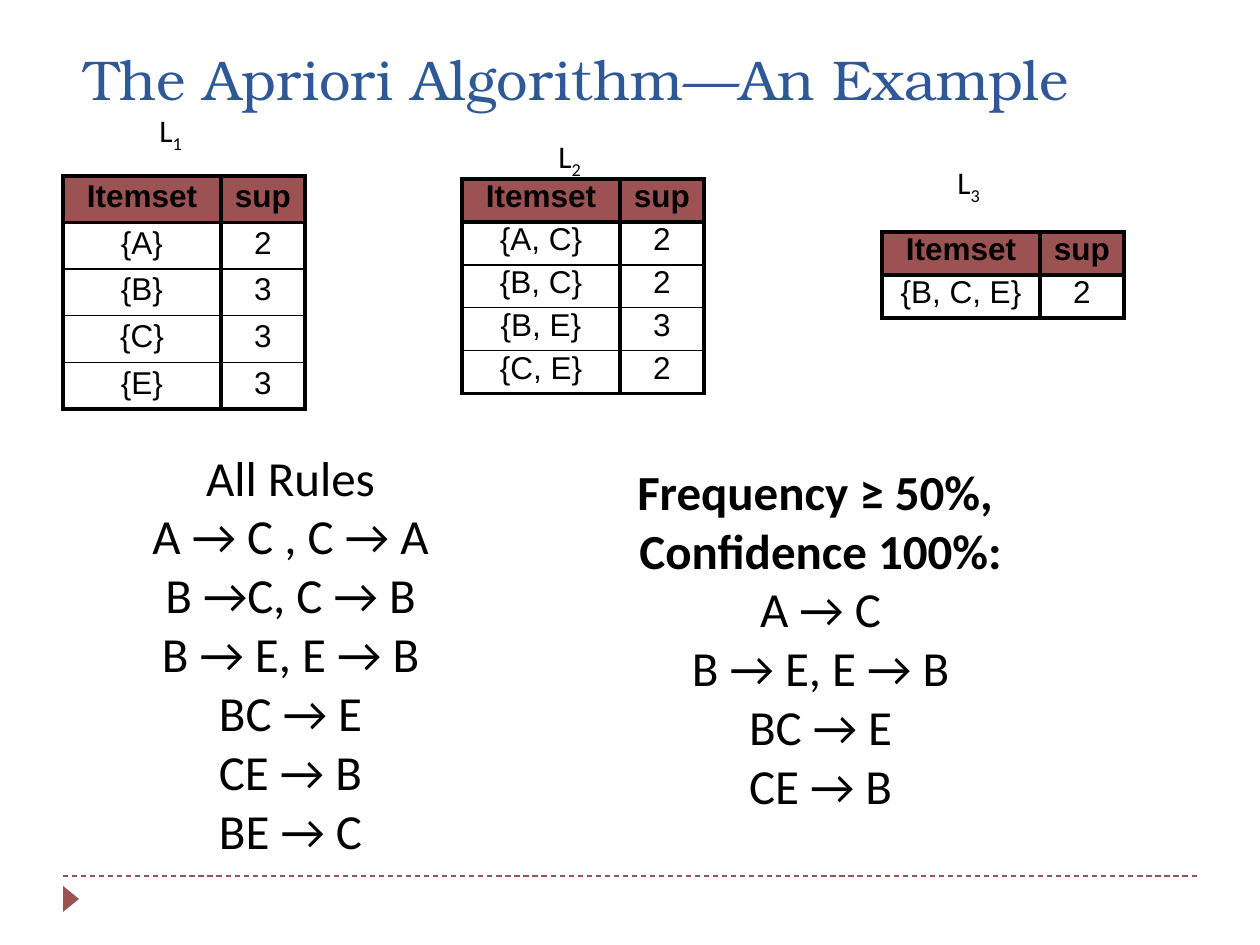
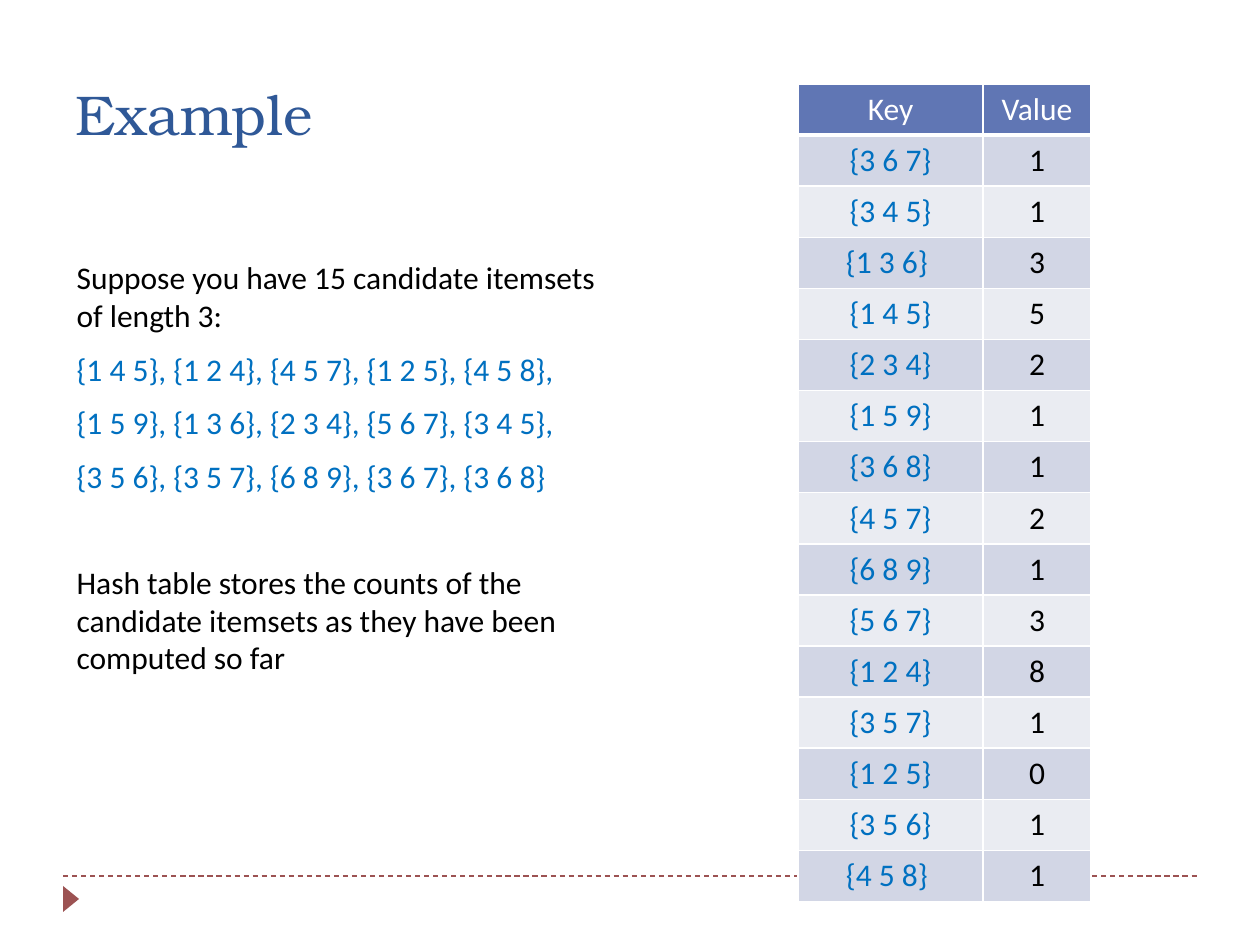
from dataclasses import dataclass

from lxml.etree import SubElement
from pptx import Presentation
from pptx.dml.color import RGBColor
from pptx.enum.dml import MSO_LINE
from pptx.enum.shapes import MSO_CONNECTOR, MSO_SHAPE
from pptx.enum.text import MSO_ANCHOR, MSO_AUTO_SIZE, PP_ALIGN
from pptx.oxml.ns import qn
from pptx.util import Emu, Pt

PX_PER_INCH = 126
TITLE_ONLY, TITLE_AND_BODY = 5, 1


@dataclass(frozen=True)
class Theme:
    title: str = "2F5897"
    accent: str = "9C5252"
    text: str = "000000"
    itemset: str = "0070C0"
    white: str = "FFFFFF"
    header: str = "6076B4"
    odd_row: str = "D2D6E5"
    even_row: str = "EAECF2"
    title_font: str = "TeX Gyre Bonum"
    body_font: str = "Calibri"
    table_font: str = "Arial"
    title_size: int = 32
    rule_size: int = 28
    body_size: int = 18
    thin: float = 1
    thick: float = 2.25
    header_rule: float = 3


T = Theme()

FREQUENT_ITEMSETS = [
    [("{A}", "2"), ("{B}", "3"), ("{C}", "3"), ("{E}", "3")],
    [("{A, C}", "2"), ("{B, C}", "2"), ("{B, E}", "3"), ("{C, E}", "2")],
    [("{B, C, E}", "2")],
]
ALL_RULES = ["All Rules", "A → C , C → A", "B →C, C → B", "B → E, E → B",
             "BC → E", "CE → B", "BE → C"]
CONDITIONS = ["Frequency ≥ 50%, ", "Confidence 100%:"]
STRONG_RULES = ["A → C", "B → E, E → B", "BC → E", "CE → B"]
CANDIDATES = [
    "{1 4 5}, {1 2 4}, {4 5 7}, {1 2 5}, {4 5 8},",
    "{1 5 9}, {1 3 6}, {2 3 4}, {5 6 7}, {3 4 5},",
    "{3 5 6}, {3 5 7}, {6 8 9}, {3 6 7}, {3 6 8}",
]
COUNTS = [
    ("{3 6 7}", "1"), ("{3 4 5}", "1"), ("{1 3 6} ", "3"), ("{1 4 5}", "5"),
    ("{2 3 4}", "2"), ("{1 5 9}", "1"), ("{3 6 8}", "1"), ("{4 5 7}", "2"),
    ("{6 8 9}", "1"), ("{5 6 7}", "3"), ("{1 2 4}", "8"), ("{3 5 7}", "1"),
    ("{1 2 5}", "0"), ("{3 5 6}", "1"), ("{4 5 8} ", "1"),
]


def px(n):
    return Emu(round(n * 914400 / PX_PER_INCH))


def rgb(color):
    return RGBColor.from_string(color)


def place(sp, box):
    sp.left, sp.top, sp.width, sp.height = map(px, box)


def write(p, text, *, size=T.body_size, font=T.body_font, color=T.text, bold=False,
          align=PP_ALIGN.LEFT, spacing=1.0, before=0, subscript=False):
    """Append one formatted run to the paragraph."""
    p.alignment, p.line_spacing, p.space_before = align, spacing, Pt(before)
    r = p.add_run()
    r.text = text
    r.font.size, r.font.name, r.font.bold = Pt(size), font, bold
    r.font.color.rgb = rgb(color)
    if subscript:
        r._r.get_or_add_rPr().set("baseline", "-25000")


def next_paragraph(tf):
    """Return the empty first paragraph, or a new one."""
    first = tf.paragraphs[0]
    return tf.add_paragraph() if first.runs else first


def add_box(s, box):
    tf = s.shapes.add_textbox(*map(px, box)).text_frame
    tf.word_wrap = False
    return tf


def set_title(s, text, box):
    sp = s.shapes.title
    place(sp, box)
    tf = sp.text_frame
    tf.auto_size, tf.vertical_anchor = MSO_AUTO_SIZE.NONE, MSO_ANCHOR.TOP
    write(tf.paragraphs[0], text, size=T.title_size, font=T.title_font, color=T.title)


def add_footer_to_master(prs, s):
    """Draw the dashed rule and the marker on a slide, then move them to the master."""
    rule = s.shapes.add_connector(MSO_CONNECTOR.STRAIGHT, px(63), px(876), px(1197), px(876))
    rule.line.color.rgb = rgb(T.accent)
    rule.line.width, rule.line.dash_style = Pt(0.75), MSO_LINE.DASH
    SubElement(rule.element.spPr, qn("a:effectLst"))

    marker = s.shapes.add_shape(MSO_SHAPE.ISOSCELES_TRIANGLE, *map(px, (58, 891, 26, 16)))
    marker.rotation = 90
    marker.shadow.inherit = False
    marker.fill.solid()
    marker.fill.fore_color.rgb = rgb(T.accent)
    marker.line.fill.background()

    for shape_id, sp in enumerate((rule, marker), 101):
        sp.element.xpath(".//p:cNvPr")[0].set("id", str(shape_id))
        prs.slide_master.shapes.element.append(sp.element)


def set_borders(cell, color, left, right, top, bottom):
    tcPr = cell._tc.get_or_add_tcPr()
    for side, width in zip("LRTB", (left, right, top, bottom)):
        ln = SubElement(tcPr, qn(f"a:ln{side}"), w=str(Pt(width)))
        SubElement(SubElement(ln, qn("a:solidFill")), qn("a:srgbClr"), val=color)


def add_grid(s, left, top, cols, height, rows, style):
    """Add a table; style(row, col) gives border, fill and text format of a cell."""
    tbl = s.shapes.add_table(len(rows), len(cols), px(left), px(top),
                             px(sum(cols)), px(height)).table
    tbl.first_row = tbl.horz_banding = False
    for col, width in zip(tbl.columns, cols):
        col.width = px(width)
    for i, row in enumerate(rows):
        tbl.rows[i].height = px(height / len(rows))
        for j, text in enumerate(row):
            cell = tbl.cell(i, j)
            borders, fill, fmt = style(i, j)
            set_borders(cell, *borders)
            if fill:
                cell.fill.solid()
                cell.fill.fore_color.rgb = rgb(fill)
            else:
                cell.fill.background()
            write(cell.text_frame.paragraphs[0], text, align=PP_ALIGN.CENTER, **fmt)


def add_itemset_table(s, left, top, height, itemsets, spacing):
    last = len(itemsets)

    def style(i, j):
        above = T.thin if i > 1 else T.thick
        below = T.thin if 0 < i < last else T.thick
        return ((T.text, T.thick, T.thick, above, below), T.accent if i == 0 else None,
                dict(font=T.table_font, bold=i == 0, spacing=spacing))

    add_grid(s, left, top, (158, 84), height, [("Itemset", "sup")] + itemsets, style)


def add_level_label(s, level, left, top):
    p = add_box(s, (left, top, 52, 50)).paragraphs[0]
    write(p, "L")
    write(p, str(level), subscript=True)


def add_rules(s, box, rules, conditions=()):
    tf = add_box(s, box)
    for text in [*conditions, *rules]:
        write(next_paragraph(tf), text, size=T.rule_size, bold=text in conditions,
              align=PP_ALIGN.CENTER)


def add_count_table(s, left, top, height):
    def style(i, j):
        below = T.header_rule if i == 0 else T.thin
        borders = (T.white, T.thin, T.thin, T.thin, below)
        if i == 0:
            return borders, T.header, dict(color=T.white)
        return (borders, T.odd_row if i % 2 else T.even_row,
                dict(color=T.text if j else T.itemset))

    add_grid(s, left, top, (185, 108), height, [("Key", "Value")] + COUNTS, style)


def fill_candidates(sp, box):
    place(sp, box)
    tf = sp.text_frame
    tf.auto_size = MSO_AUTO_SIZE.NONE
    lines = [("Suppose you have 15 candidate itemsets of length 3:", T.text, 0)]
    lines += [(text, T.itemset, 9) for text in CANDIDATES]
    lines.append(("Hash table stores the counts of the candidate itemsets "
                  "as they have been computed so far", T.text, 39))
    for text, color, before in lines:
        p = next_paragraph(tf)
        pPr = p._p.get_or_add_pPr()
        pPr.set("marL", "0")
        pPr.set("indent", "0")
        SubElement(pPr, qn("a:buNone"))
        write(p, text, color=color, before=before)


def build_apriori_slide(prs):
    s = prs.slides.add_slide(prs.slide_layouts[TITLE_ONLY])
    add_footer_to_master(prs, s)
    set_title(s, "The Apriori Algorithm—An Example", (72, 38, 1124, 120))
    places = [(63, 176, 233, 0.9), (462, 179, 214, 0.8), (882, 232, 86, 0.8)]
    for level, (left, top, height, spacing) in enumerate(places):
        add_itemset_table(s, left, top, height, FREQUENT_ITEMSETS[level], spacing)
        add_level_label(s, level + 1, 147 + 399 * level, 105 + 26 * level)
    add_rules(s, (120, 441, 341, 428), ALL_RULES)
    add_rules(s, (604, 455, 433, 369), STRONG_RULES, CONDITIONS)


def build_hash_table_slide(prs):
    s = prs.slides.add_slide(prs.slide_layouts[TITLE_AND_BODY])
    set_title(s, "Example", (63, 73, 1134, 136))
    fill_candidates(s.placeholders[1], (64, 252, 570, 451))
    add_count_table(s, 798, 84, 806)


def main():
    prs = Presentation()
    prs.slide_width, prs.slide_height = px(1260), px(945)
    build_apriori_slide(prs)
    build_hash_table_slide(prs)
    prs.save("out.pptx")


if __name__ == "__main__":
    main()
